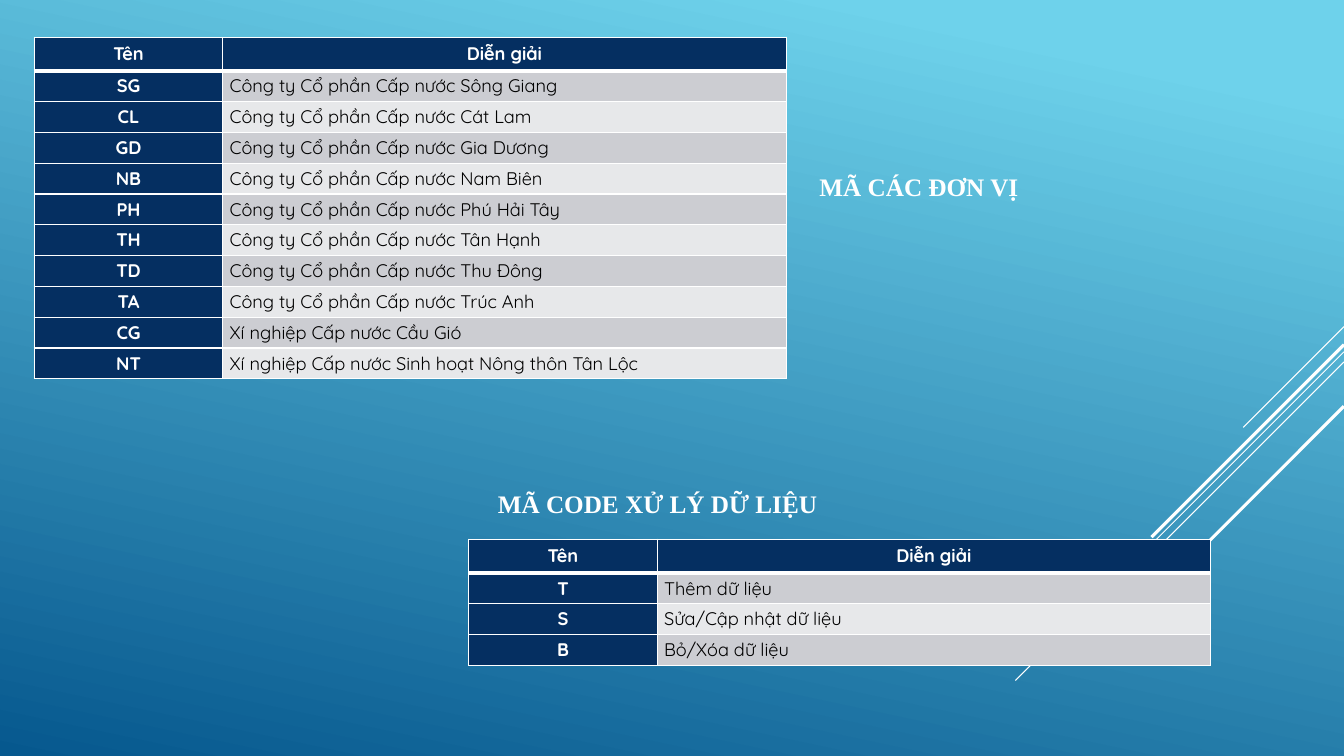
from dataclasses import dataclass

from lxml.etree import SubElement
from pptx import Presentation
from pptx.dml.color import RGBColor
from pptx.enum.shapes import MSO_CONNECTOR as Connector
from pptx.enum.text import MSO_ANCHOR as Anchor, MSO_AUTO_SIZE as AutoSize, PP_ALIGN as Align
from pptx.oxml.ns import qn
from pptx.util import Pt


@dataclass(frozen=True)
class Theme:
    white: str = "FFFFFF"
    black: str = "000000"
    navy: str = "052F61"
    bands: tuple = ("CCCDD2", "E7E8EA")
    sky: tuple = ((0.1, "6ED2EB"), (1.0, "06588E"))
    table_font: str = "Quicksand"
    title_font: str = "Times New Roman"
    table_size: float = 13
    title_size: float = 18


THEME = Theme()
SLIDE_WIDTH, SLIDE_HEIGHT = 960, 540
CODE_WIDTH, HEADER_HEIGHT, ROW_HEIGHT = 134.6, 24, 22
THIN, THICK = 1, 3

HEADER = ("Tên", "Diễn giải")
UNITS = (
    ("SG", "Công ty Cổ phần Cấp nước Sông Giang"),
    ("CL", "Công ty Cổ phần Cấp nước Cát Lam"),
    ("GD", "Công ty Cổ phần Cấp nước Gia Dương"),
    ("NB", "Công ty Cổ phần Cấp nước Nam Biên"),
    ("PH", "Công ty Cổ phần Cấp nước Phú Hải Tây"),
    ("TH", "Công ty Cổ phần Cấp nước Tân Hạnh"),
    ("TD", "Công ty Cổ phần Cấp nước Thu Đông"),
    ("TA", "Công ty Cổ phần Cấp nước Trúc Anh"),
    ("CG", "Xí nghiệp Cấp nước Cầu Gió"),
    ("NT", "Xí nghiệp Cấp nước Sinh hoạt Nông thôn Tân Lộc"),
)
ACTIONS = (
    ("T", "Thêm dữ liệu"),
    ("S", "Sửa/Cập nhật dữ liệu"),
    ("B", "Bỏ/Xóa dữ liệu"),
)
# Top on the right edge, horizontal run, line width
DIAGONALS = (
    (233.3, 72, 0.75),
    (251.3, 234.7, 0.75),
    (258.5, 149, 0.75),
    (246.2, 137.5, 2.25),
    (290.2, 100, 2.25),
)


def set_all(target, values):
    for name, value in values.items():
        setattr(target, name, value)


def write(paragraph, text, align, color, **font):
    paragraph.alignment = align
    run = paragraph.add_run()
    run.text = text
    run.font.color.rgb = RGBColor.from_string(color)
    set_all(run.font, font)


def paint_background(slide):
    fill = slide.background.fill
    fill.gradient()
    fill.gradient_angle = 258
    for stop, (position, color) in zip(fill.gradient_stops, THEME.sky):
        stop.position = position
        stop.color.rgb = RGBColor.from_string(color)


def add_diagonal(slide, top, run, width):
    """Draw a 45-degree line down and left from the right edge."""
    line = slide.shapes.add_connector(
        Connector.STRAIGHT, Pt(SLIDE_WIDTH), Pt(top), Pt(SLIDE_WIDTH - run), Pt(top + run))
    line.line.color.rgb = RGBColor.from_string(THEME.white)
    line.line.width = Pt(width)
    SubElement(line._element.spPr, qn("a:effectLst"))


def add_title(slide, text, left, top, width):
    box = slide.shapes.add_textbox(Pt(left), Pt(top), Pt(width), Pt(29))
    set_all(box.text_frame, {"word_wrap": True, "auto_size": AutoSize.SHAPE_TO_FIT_TEXT})
    write(box.text_frame.paragraphs[0], text, Align.JUSTIFY, THEME.white,
          name=THEME.title_font, size=Pt(THEME.title_size), bold=True)


def set_borders(cell, top, bottom):
    properties = cell._tc.get_or_add_tcPr()
    for side, width in {"L": THIN, "R": THIN, "T": top, "B": bottom}.items():
        border = SubElement(properties, qn(f"a:ln{side}"), w=str(Pt(width)))
        fill = SubElement(border, qn("a:solidFill"))
        SubElement(fill, qn("a:srgbClr"), val=THEME.white)


def format_cell(cell, text, row, column):
    is_label = row == 0 or column == 0
    set_borders(cell, THICK if row == 1 else THIN, THICK if row == 0 else THIN)
    cell.fill.solid()
    cell.fill.fore_color.rgb = RGBColor.from_string(
        THEME.navy if is_label else THEME.bands[(row - 1) % 2])
    set_all(cell, {"vertical_anchor": Anchor.MIDDLE, "margin_left": Pt(5),
                   "margin_right": Pt(5), "margin_top": 0, "margin_bottom": 0})
    write(cell.text_frame.paragraphs[0], text,
          Align.CENTER if is_label else Align.JUSTIFY,
          THEME.white if is_label else THEME.black,
          name=THEME.table_font, size=Pt(THEME.table_size), bold=is_label)


def add_code_table(slide, entries, left, top, meaning_width):
    rows = (HEADER, *entries)
    widths = (CODE_WIDTH, meaning_width)
    heights = (HEADER_HEIGHT,) + (ROW_HEIGHT,) * len(entries)
    table = slide.shapes.add_table(
        len(rows), len(widths), Pt(left), Pt(top), Pt(sum(widths)), Pt(sum(heights))).table
    for column, width in zip(table.columns, widths):
        column.width = Pt(width)
    for table_row, height in zip(table.rows, heights):
        table_row.height = Pt(height)
    for row, texts in enumerate(rows):
        for column, text in enumerate(texts):
            format_cell(table.cell(row, column), text, row, column)


def main():
    presentation = Presentation()
    set_all(presentation, {"slide_width": Pt(SLIDE_WIDTH), "slide_height": Pt(SLIDE_HEIGHT)})
    slide = presentation.slides.add_slide(presentation.slide_layouts[6])
    paint_background(slide)
    for diagonal in DIAGONALS:
        add_diagonal(slide, *diagonal)
    add_code_table(slide, UNITS, 24.5, 26.6, 402.5)
    add_code_table(slide, ACTIONS, 334.8, 385.2, 395.3)
    add_title(slide, "MÃ CÁC ĐƠN VỊ", 578.2, 118.8, 342)
    add_title(slide, "MÃ CODE XỬ LÝ DỮ LIỆU", 348.5, 344.9, 481)
    presentation.save("out.pptx")


if __name__ == "__main__":
    main()
